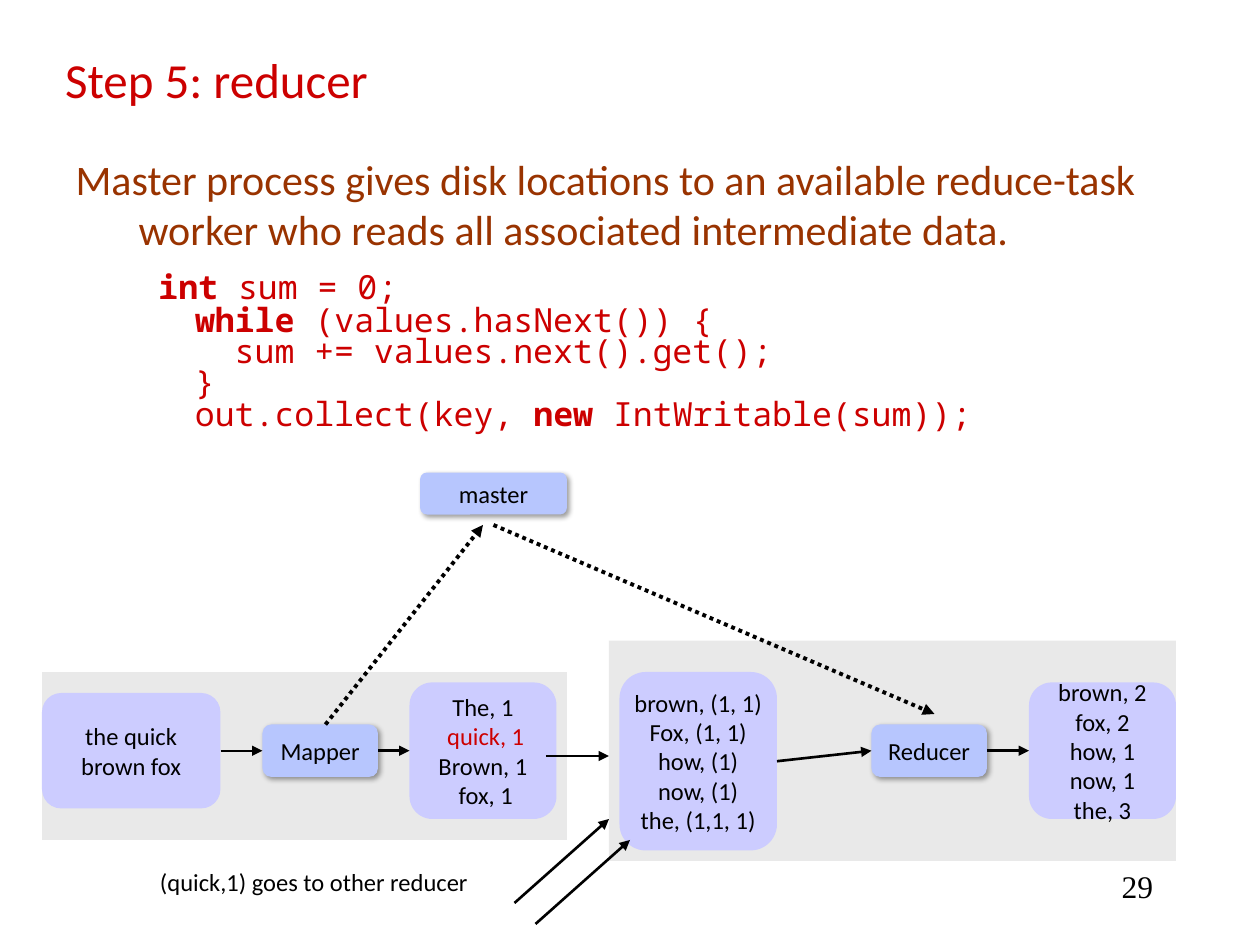
"""Build the slide on the reducer step of a word count."""
import pptx
import pptx.util
import pptx.dml.color
import pptx.enum.dml
import pptx.enum.shapes
import pptx.enum.text
import pptx.oxml
import lxml.etree

Pt = pptx.util.Pt
SHAPE = pptx.enum.shapes.MSO_SHAPE
ALIGN = pptx.enum.text.PP_ALIGN
ANCHOR = pptx.enum.text.MSO_ANCHOR
SIZE = pptx.enum.text.MSO_AUTO_SIZE
NS = "http://schemas.openxmlformats.org/drawingml/2006/main"


def color(code):
    return pptx.dml.color.RGBColor.from_string(code)


def node(root, tag, **attrs):
    return lxml.etree.SubElement(root, f"{{{NS}}}{tag}", attrs)


class Deck:
    black, red, brown = "000000", "CC0000", "993300"
    lilac, blue, gray = "CCCCFF", "B7C6FE", "C0C0C0"
    sans, mono, serif = "Calibri", "Noto Sans Mono", "Times New Roman"

    def __init__(self):
        self.file = pptx.Presentation()
        self.file.slide_width, self.file.slide_height = Pt(720), Pt(540)
        self.slide = self.file.slides.add_slide(self.file.slide_layouts[1])
        self.items = self.slide.shapes

    def style(self, run, size, tint, face=sans, bold=False):
        font = run.font
        font.size, font.name, font.bold = Pt(size), face, bold
        font.color.rgb = color(tint)

    def place(self, shape, left, top, width, height):
        shape.left, shape.top = Pt(left), Pt(top)
        shape.width, shape.height = Pt(width), Pt(height)

    def title(self, text, *rect):
        shape = self.items.title
        self.place(shape, *rect)
        frame = shape.text_frame
        frame.text, frame.auto_size = text, SIZE.NONE
        frame.vertical_anchor = ANCHOR.MIDDLE
        para = frame.paragraphs[0]
        para.alignment = ALIGN.LEFT
        self.style(para.runs[0], 28, self.red)

    def body(self, lead, code, *rect):
        shape = self.slide.placeholders[1]
        self.place(shape, *rect)
        frame = shape.text_frame
        frame.text, frame.auto_size = lead, SIZE.NONE
        first = frame.paragraphs[0]
        self.hang(first, 0, 1)
        self.style(first.runs[0], 24, self.brown)
        for row, line in enumerate(code):
            para = frame.add_paragraph()
            self.hang(para, 2 if row else 7, 0.7 if row else 1)
            for part, text in enumerate(line.split("*")):
                run = para.add_run()
                run.text = text
                self.style(run, 19, self.red, self.mono, part % 2 == 1)

    def hang(self, para, before, space):
        props = para._p.get_or_add_pPr()
        props.set("marL", str(Pt(36)))
        props.set("indent", str(Pt(-36)))
        node(props, "buNone")
        para.space_before, para.line_spacing = Pt(before), space

    def label(self, text, align, size, face, *rect):
        shape = self.items.add_textbox(*map(Pt, rect))
        frame = shape.text_frame
        frame.text, frame.word_wrap = text, True
        para = frame.paragraphs[0]
        para.alignment = align
        self.style(para.runs[0], size, self.black, face)

    def shape(self, kind, fill, *rect):
        shape = self.items.add_shape(kind, *map(Pt, rect))
        shape.shadow.inherit = False
        shape.fill.solid()
        shape.fill.fore_color.rgb = color(fill)
        shape.line.fill.background()
        return shape

    def panel(self, *rect):
        shape = self.shape(SHAPE.RECTANGLE, self.gray, *rect)
        tint = shape._element.spPr.find(f".//{{{NS}}}srgbClr")
        node(tint, "alpha", val="34000")

    def box(self, text, fill, *rect):
        shape = self.shape(SHAPE.ROUNDED_RECTANGLE, fill, *rect)
        frame = shape.text_frame
        frame.text, frame.word_wrap = text, False
        frame.vertical_anchor = ANCHOR.MIDDLE
        for para in frame.paragraphs:
            para.alignment = ALIGN.CENTER
            tint = self.red if "quick, 1" in para.text else self.black
            self.style(para.runs[0], 14, tint)
        return shape

    def task(self, text, *rect):
        shape = self.box(text, self.blue, *rect)
        effect = shape._element.spPr.find(f"{{{NS}}}effectLst")
        shade = node(effect, "outerShdw", blurRad=str(Pt(3)), dist=str(Pt(2)),
                     dir="2700000", algn="tl", rotWithShape="0")
        node(node(shade, "srgbClr", val=self.black), "alpha", val="38000")

    def data(self, text, *rect):
        self.box(text, self.lilac, *rect)

    def arrow(self, start, end, width=1.5, dots=False):
        kind = pptx.enum.shapes.MSO_CONNECTOR.STRAIGHT
        link = self.items.add_connector(kind, *map(Pt, start + end))
        link.line.width = Pt(width)
        link.line.color.rgb = color(self.black)
        if dots:
            link.line.dash_style = pptx.enum.dml.MSO_LINE.ROUND_DOT
        node(link.line._get_or_add_ln(), "tailEnd", type="triangle")
        node(link._element.spPr, "effectLst")


def main():
    deck = Deck()
    deck.title("Step 5: reducer", 30, 30, 660, 30)
    deck.body(
        "Master process gives disk locations to an available reduce-task "
        "worker who reads all associated intermediate data.",
        ["\t *int* sum = 0;",
         "      *while *(values.hasNext()) {",
         "        sum += values.next().get();",
         "      }",
         "      out.collect(key, *new* IntWritable(sum));"],
        36, 84, 654, 396)
    deck.panel(348, 366, 324, 126)
    deck.panel(24, 384, 300, 96)

    deck.task("master", 240, 270, 84, 24)
    deck.task("Mapper", 150, 414, 66, 30)
    deck.task("Reducer", 498, 414, 66, 30)
    deck.data("the quick\nbrown fox", 24, 396, 102, 66)
    deck.data("The, 1\n quick, 1\nBrown, 1\n fox, 1", 234, 390, 84, 78)
    deck.data("brown, (1, 1)\nFox, (1, 1)\nhow, (1)\nnow, (1)\nthe, (1,1, 1)",
              354, 384, 90, 102)
    deck.data("brown, 2\nfox, 2\nhow, 1\nnow, 1\nthe, 3", 588, 390, 84, 78)

    deck.arrow((126, 429), (150, 429), 1.25)
    for start, end in [((216, 429), (234, 429)), ((564, 429), (588, 429)),
                       ((312, 432), (348, 432)), ((444, 435), (498, 429)),
                       ((294, 516), (348, 468)), ((306, 528), (360, 480))]:
        deck.arrow(start, end)
    deck.arrow((186, 414), (276, 300), 2.25, True)
    deck.arrow((282, 300), (534, 408), 2.25, True)

    deck.label("(quick,1) goes to other reducer", ALIGN.CENTER, 14, deck.sans,
               84, 492, 191, 24)
    deck.label("29", ALIGN.RIGHT, 18, deck.serif, 516, 492, 150, 36)
    deck.file.save("out.pptx")


if __name__ == "__main__":
    main()
